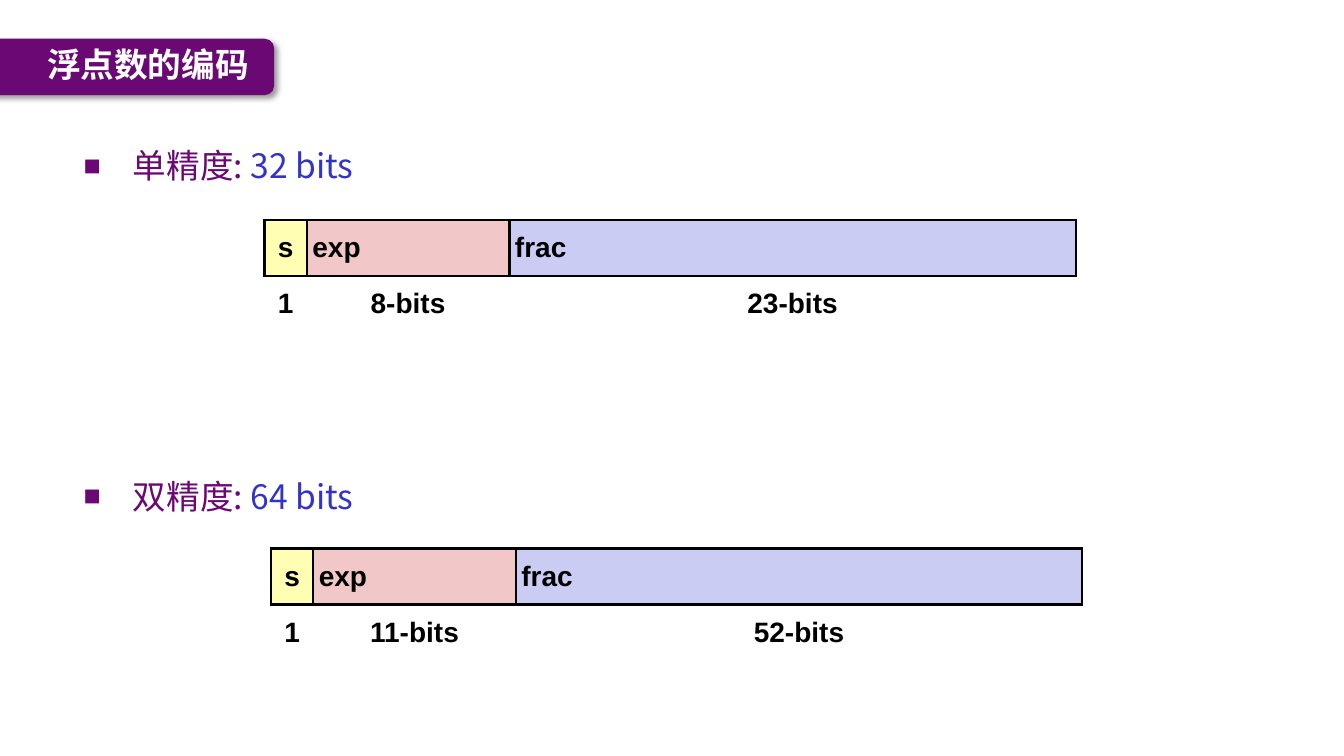
from lxml import etree
from pptx import Presentation
from pptx.dml import color
from pptx.enum import shapes, text
from pptx.oxml import ns
from pptx.util import Pt

CJK = "Noto Sans CJK SC"
PURPLE = "6B0874"
BLUE = "3333CC"
FIELDS = [("s", "FFFEB2", 30.24), ("exp", "F1C7C7", 144.72), ("frac", "CBCCF3", 404.64)]
ROW_HEIGHT = 40.1


def rgb(value):
    return color.RGBColor.from_string(value)


def add_xml(parent, tag, **attributes):
    return etree.SubElement(parent, ns.qn(tag), attributes)


def style_run(run, font, size, hex_color, bold=False):
    run.font.name = font
    run.font.size = Pt(size)
    run.font.bold = bold
    run.font.color.rgb = rgb(hex_color)
    if font == CJK:
        add_xml(run._r.get_or_add_rPr(), "a:ea", typeface=font)


def add_text_frame(slide, left, top, width, height):
    frame = slide.shapes.add_textbox(Pt(left), Pt(top), Pt(width), Pt(height)).text_frame
    frame.word_wrap = True
    return frame


def add_title(slide, wording):
    banner = slide.shapes.add_shape(
        shapes.MSO_SHAPE.ROUNDED_RECTANGLE, Pt(-53.3), Pt(27.7), Pt(249.1), Pt(40.3))
    banner.fill.solid()
    banner.fill.fore_color.rgb = rgb("6A0874")
    banner.line.fill.background()
    banner.shadow.inherit = False
    effects = banner._element.spPr.find(ns.qn("a:effectLst"))
    shadow = add_xml(effects, "a:outerShdw", blurRad=str(Pt(4)), dist=str(Pt(3)),
                     dir="2700000", algn="tl", rotWithShape="0")
    add_xml(add_xml(shadow, "a:srgbClr", val="000000"), "a:alpha", val="40000")

    title = add_text_frame(slide, 26.6, 25.9, 161.3, 39.6)
    title.vertical_anchor = text.MSO_ANCHOR.MIDDLE
    title.text = wording
    style_run(title.paragraphs[0].runs[0], CJK, 24, "FFFFFF", True)


def add_precision(slide, top, name, size):
    line = add_text_frame(slide, 52.6, top, 861.8, 50).paragraphs[0]
    line.line_spacing = 1.2
    properties = line._p.get_or_add_pPr()
    properties.set("marL", str(Pt(35.3)))
    properties.set("indent", str(Pt(-35.3)))
    add_xml(add_xml(properties, "a:buClr"), "a:srgbClr", val=PURPLE)
    add_xml(properties, "a:buSzPct", val="85000")
    add_xml(properties, "a:buFont", typeface="Arial")
    add_xml(properties, "a:buChar", char="■")
    for wording, hex_color in [(name, PURPLE), (size, BLUE)]:
        run = line.add_run()
        run.text = wording
        style_run(run, CJK, 24, hex_color)


def set_borders(cell, visible_sides):
    properties = cell._tc.get_or_add_tcPr()
    for side in "LRTB":
        border = add_xml(properties, f"a:ln{side}", w=str(Pt(2)))
        if side in visible_sides:
            add_xml(add_xml(border, "a:solidFill"), "a:srgbClr", val="000000")
        else:
            add_xml(border, "a:noFill")


def fill_cell(cell, wording, centred, visible_sides, fill=None):
    cell.text = wording
    cell.vertical_anchor = text.MSO_ANCHOR.MIDDLE
    cell.margin_left = cell.margin_right = cell.margin_top = cell.margin_bottom = Pt(4)
    set_borders(cell, visible_sides)
    if fill:
        cell.fill.solid()
        cell.fill.fore_color.rgb = rgb(fill)
    else:
        cell.fill.background()
    paragraph = cell.text_frame.paragraphs[0]
    paragraph.alignment = text.PP_ALIGN.CENTER if centred else text.PP_ALIGN.LEFT
    style_run(paragraph.runs[0], "Arial", 20, "000000", True)


def add_layout(slide, left, top, widths):
    total = sum(width for _, _, width in FIELDS)
    layout = slide.shapes.add_table(
        2, len(FIELDS), Pt(left), Pt(top), Pt(total), Pt(2 * ROW_HEIGHT)).table
    layout.first_row = layout.horz_banding = False
    for column, ((field, fill, width), bits) in enumerate(zip(FIELDS, widths)):
        layout.columns[column].width = Pt(width)
        fill_cell(layout.cell(0, column), field, field == "s", "LRTB", fill)
        fill_cell(layout.cell(1, column), bits, True, "T")


def main():
    deck = Presentation()
    deck.slide_width, deck.slide_height = Pt(960), Pt(540)
    slide = deck.slides.add_slide(deck.slide_layouts[6])
    add_precision(slide, 94.3, "单精度: ", "32 bits")
    add_precision(slide, 330.5, "双精度: ", "64 bits")
    add_layout(slide, 188.9, 157, ["1", "8-bits", "23-bits"])
    add_layout(slide, 193.5, 391.7, ["1", "11-bits", "52-bits"])
    add_title(slide, "浮点数的编码")
    deck.save("out.pptx")


if __name__ == "__main__":
    main()
